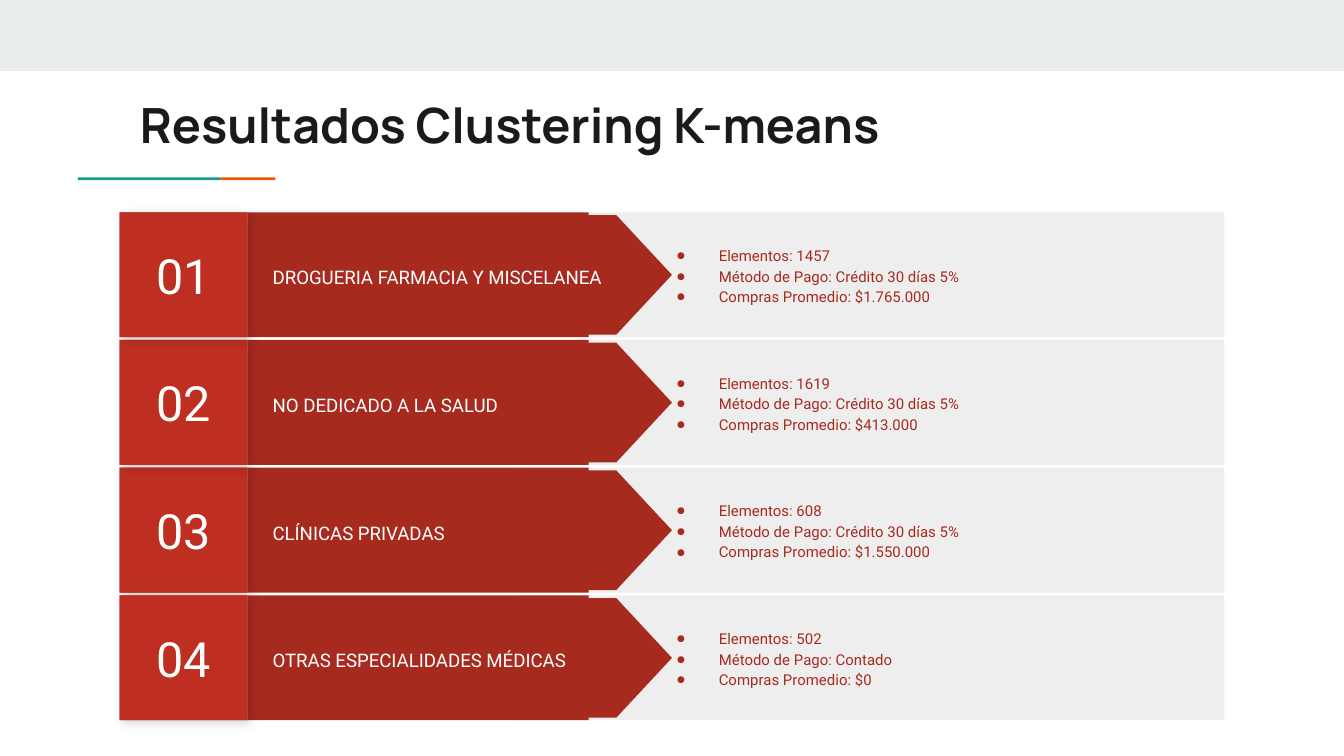
from lxml.etree import SubElement
from pptx import Presentation
from pptx.dml.color import RGBColor
from pptx.enum.shapes import MSO_SHAPE as Shape
from pptx.enum.text import MSO_ANCHOR as Anchor, MSO_AUTO_SIZE as AutoSize, PP_ALIGN as Align
from pptx.oxml.ns import qn
from pptx.util import Inches, Pt

WHITE = RGBColor(0xFF, 0xFF, 0xFF)
INK = RGBColor(0x1A, 0x1A, 0x1A)
BAND = RGBColor(0xE9, 0xED, 0xEE)
PANEL = RGBColor(0xEE, 0xEE, 0xEE)
TEAL = RGBColor(0x1A, 0x99, 0x88)
ORANGE = RGBColor(0xEB, 0x56, 0x00)
RED = RGBColor(0xA7, 0x2A, 0x1E)
NUMBER_RED = RGBColor(0xBE, 0x2F, 0x22)
SHADOW_RED = RGBColor(0xB0, 0x2C, 0x20)

CLUSTERS = [
    ("DROGUERIA FARMACIA Y MISCELANEA", "1457", "Crédito 30 días 5%", "$1.765.000"),
    ("NO DEDICADO A LA SALUD", "1619", "Crédito 30 días 5%", "$413.000"),
    ("CLÍNICAS PRIVADAS", "608", "Crédito 30 días 5%", "$1.550.000"),
    ("OTRAS ESPECIALIDADES MÉDICAS", "502", "Contado", "$0"),
]
STACKING = (2, 1, 0, 3)  # back to front, so each shadow falls on the right row
FIRST_TOP, ROW_STEP, ROW_HEIGHT = 1.58, 0.95, 0.93


def add_bullet(paragraph, color):
    properties = paragraph._p.get_or_add_pPr()
    properties.set("marL", str(Inches(0.5)))
    properties.set("indent", str(Inches(-0.31)))
    bullet_color = SubElement(properties, qn("a:buClr"))
    SubElement(bullet_color, qn("a:srgbClr"), val=str(color))
    SubElement(properties, qn("a:buSzPct"), val="60000")
    SubElement(properties, qn("a:buFont"), typeface="Roboto")
    SubElement(properties, qn("a:buChar"), char="●")


def write_text(shape, *lines, size, color, font="Roboto", bold=False, align=Align.LEFT,
               anchor=Anchor.MIDDLE, spacing=1.0, bullets=False):
    frame = shape.text_frame
    frame.word_wrap = True
    frame.auto_size = AutoSize.NONE
    frame.vertical_anchor = anchor
    frame.margin_left = frame.margin_right = Inches(0.1)
    frame.margin_top = frame.margin_bottom = Inches(0.1)
    frame.text = "\n".join(lines)
    for paragraph in frame.paragraphs:
        if bullets:
            add_bullet(paragraph, color)
        paragraph.alignment = align
        paragraph.line_spacing = spacing
        paragraph.space_before = Pt(0)
        for run in paragraph.runs:
            run.font.name = font
            run.font.size = Pt(size)
            run.font.bold = bold
            run.font.color.rgb = color


class SlideBuilder:
    def __init__(self, slide):
        self.slide = slide

    def title(self, text):
        title = self.slide.shapes.title
        title.left, title.top = Inches(0.94), Inches(0.61)
        title.width, title.height = Inches(8.41), Inches(0.59)
        write_text(title, text, size=26, color=INK, font="Manrope", bold=True,
                   anchor=Anchor.TOP)

    def block(self, left, top, width, height, fill, kind=Shape.RECTANGLE, group=None):
        shapes = (group or self.slide).shapes
        shape = shapes.add_shape(kind, Inches(left), Inches(top), Inches(width), Inches(height))
        shape.shadow.inherit = False
        shape.fill.solid()
        shape.fill.fore_color.rgb = fill
        shape.line.fill.background()
        return shape

    def label(self, group, left, top, width, height, *lines, **style):
        box = group.shapes.add_textbox(Inches(left), Inches(top), Inches(width), Inches(height))
        write_text(box, *lines, spacing=1.15, **style)

    def soft_shadow(self, shape):
        effects = shape._element.spPr.find(qn("a:effectLst"))
        shadow = SubElement(effects, qn("a:outerShdw"), blurRad=str(Pt(5.6)),
                            dist=str(Pt(2.2)), dir="2700000", algn="bl", rotWithShape="0")
        color = SubElement(shadow, qn("a:srgbClr"), val="000000")
        SubElement(color, qn("a:alpha"), val="17000")

    def cluster_row(self, index):
        name, count, payment, average = CLUSTERS[index]
        top = FIRST_TOP + index * ROW_STEP
        group = self.slide.shapes.add_group_shape()

        self.block(3.84, top, 5.27, ROW_HEIGHT, PANEL, group=group)
        self.block(1.84, top, 2.54, ROW_HEIGHT, RED, group=group)
        arrow = self.block(3.52, top - 0.57, 0.89, 2.07, RED,
                           kind=Shape.FLOWCHART_OFFPAGE_CONNECTOR, group=group)
        arrow.rotation = 270
        self.label(group, 1.93, top + 0.11, 2.68, 0.72, name, size=10, color=WHITE)

        self.soft_shadow(self.block(0.89, top, 0.95, ROW_HEIGHT, SHADOW_RED, group=group))
        number = self.block(0.89, top, 0.95, ROW_HEIGHT, NUMBER_RED, group=group)
        write_text(number, f"{index + 1:02d}", size=26, color=WHITE, align=Align.CENTER)

        self.label(group, 4.75, top, 4.1, ROW_HEIGHT,
                   f"Elementos: {count}",
                   f"Método de Pago: {payment}",
                   f"Compras Promedio: {average}",
                   size=8, color=RED, bullets=True)


def main():
    presentation = Presentation()
    presentation.slide_width = Inches(10)
    presentation.slide_height = presentation.slide_width * 9 // 16
    builder = SlideBuilder(presentation.slides.add_slide(presentation.slide_layouts[5]))

    builder.block(0, 0, 10, 0.53, BAND)
    builder.block(1.64, 1.32, 0.41, 0.02, ORANGE)
    builder.block(0.58, 1.32, 1.06, 0.02, TEAL)
    builder.title("Resultados Clustering K-means")
    for index in STACKING:
        builder.cluster_row(index)

    presentation.save("out.pptx")


if __name__ == "__main__":
    main()
